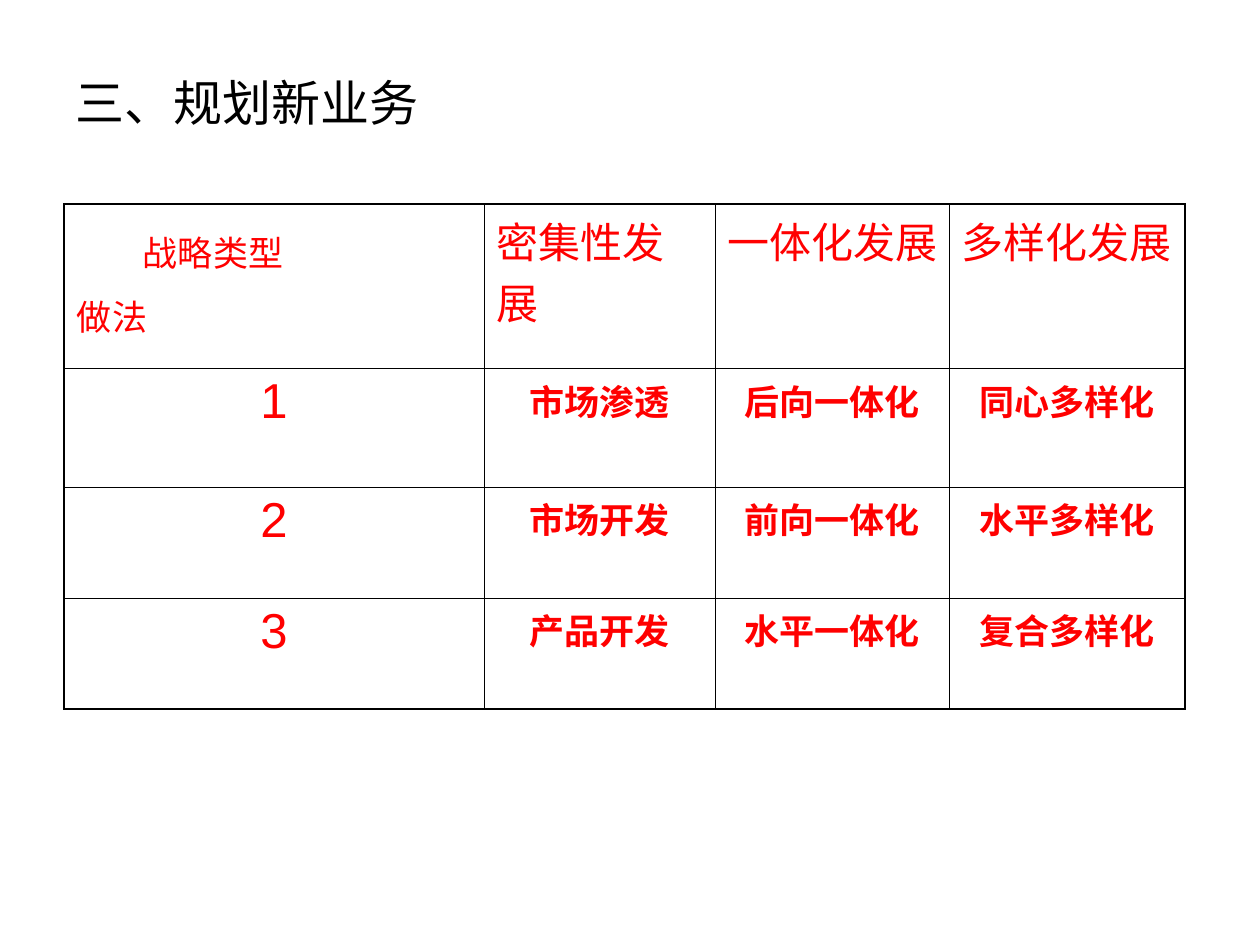
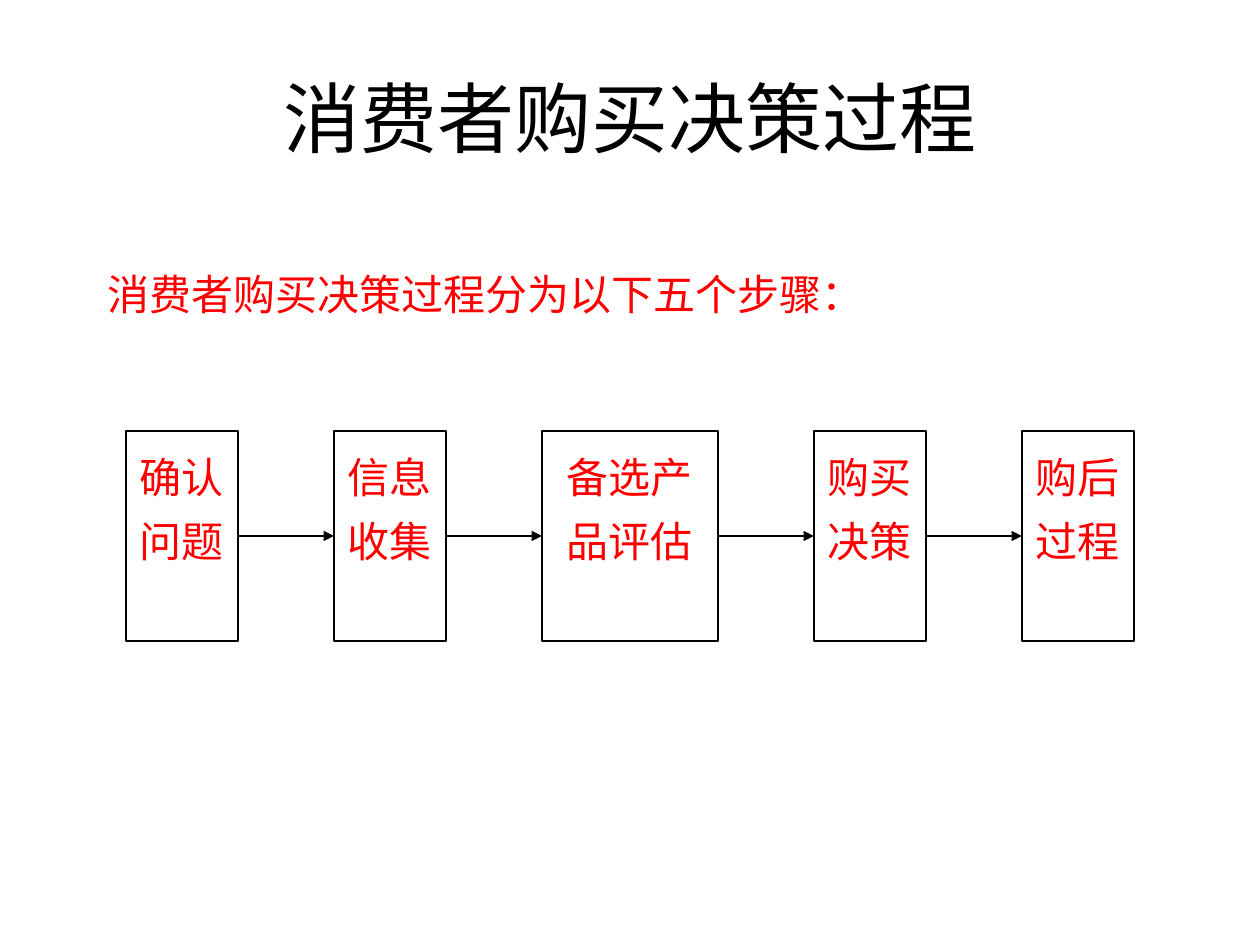
from dataclasses import dataclass

from lxml.etree import SubElement
from pptx import Presentation
from pptx.dml.color import RGBColor
from pptx.enum.shapes import MSO_CONNECTOR, MSO_SHAPE
from pptx.enum.text import MSO_ANCHOR, MSO_AUTO_SIZE, PP_ALIGN
from pptx.oxml.ns import qn
from pptx.util import Emu, Pt

PX_PER_INCH = 126


def px(length: int) -> Emu:
    return Emu(round(length * 914400 / PX_PER_INCH))


@dataclass(frozen=True)
class Theme:
    black: RGBColor = RGBColor(0, 0, 0)
    red: RGBColor = RGBColor(255, 0, 0)
    white: RGBColor = RGBColor(255, 255, 255)
    sans: str = "Arial"
    serif: str = "Times New Roman"
    east_asian: str = "Noto Sans CJK SC"
    title_size: int = 44
    heading_size: int = 28
    text_size: int = 24
    small_size: int = 20
    line: float = 0.75
    inner_border: float = 0.45
    outer_border: float = 1.08


THEME = Theme()


@dataclass(frozen=True)
class Box:
    left: int
    top: int
    width: int
    height: int

    def emu(self) -> tuple:
        return px(self.left), px(self.top), px(self.width), px(self.height)


@dataclass(frozen=True)
class TextStyle:
    size: int
    font: str
    color: RGBColor = THEME.red
    bold: bool = False
    align: PP_ALIGN = PP_ALIGN.LEFT
    line_spacing: float = 1.0


@dataclass(frozen=True)
class Step:
    lines: tuple
    width: int = 112


HEADING = TextStyle(THEME.heading_size, THEME.sans, THEME.black)
TITLE = TextStyle(THEME.title_size, THEME.east_asian, THEME.black, align=PP_ALIGN.CENTER)
CORNER = TextStyle(THEME.small_size, THEME.sans)
COLUMN_HEAD = TextStyle(THEME.text_size, THEME.sans)
ROW_NUMBER = TextStyle(THEME.heading_size, THEME.sans, align=PP_ALIGN.CENTER)
STRATEGY = TextStyle(THEME.small_size, THEME.sans, bold=True, align=PP_ALIGN.CENTER)
CAPTION = TextStyle(THEME.text_size, THEME.serif)
STEP = TextStyle(THEME.text_size, THEME.serif, align=PP_ALIGN.CENTER, line_spacing=1.28)

# Strategy table
TABLE_BOX = Box(64, 204, 1121, 505)
COLUMN_WIDTHS = (420, 231, 234, 236)
ROW_HEIGHTS = (164, 119, 111, 111)
STRATEGY_ROWS = (
    ("战略类型\n做法", "密集性发展", "一体化发展", "多样化发展"),
    ("1", "市场渗透", "后向一体化", "同心多样化"),
    ("2", "市场开发", "前向一体化", "水平多样化"),
    ("3", "产品开发", "水平一体化", "复合多样化"),
)

# Purchase steps
STEPS = (
    Step(("确认", "问题")),
    Step(("信息收集",)),
    Step(("备选产品评估",), 176),
    Step(("购买决策",)),
    Step(("购后过程",)),
)
STEP_LEFT, STEP_TOP, STEP_HEIGHT, STEP_GAP = 126, 431, 210, 96


def write(text_frame, lines: tuple, style: TextStyle) -> None:
    text_frame.text = "\n".join(lines)
    for paragraph in text_frame.paragraphs:
        paragraph.alignment = style.align
        paragraph.line_spacing = style.line_spacing
        font = paragraph.font
        font.size = Pt(style.size)
        font.bold = style.bold
        font.color.rgb = style.color
        font.name = style.font
        # East Asian face follows the Latin one
        properties = paragraph._p.pPr.find(qn("a:defRPr"))
        SubElement(properties, qn("a:ea"), typeface=THEME.east_asian)


def add_titled_slide(presentation, title: str, box: Box, style: TextStyle, anchor: MSO_ANCHOR):
    slide = presentation.slides.add_slide(presentation.slide_layouts[5])
    shape = slide.shapes.title
    shape.left, shape.top, shape.width, shape.height = box.emu()
    write(shape.text_frame, (title,), style)
    shape.text_frame.auto_size = MSO_AUTO_SIZE.NONE
    shape.text_frame.vertical_anchor = anchor
    return slide


def set_borders(cell, row: int, column: int) -> None:
    outer_edges = {
        "a:lnL": column == 0,
        "a:lnR": column == len(COLUMN_WIDTHS) - 1,
        "a:lnT": row == 0,
        "a:lnB": row == len(ROW_HEIGHTS) - 1,
    }
    properties = cell._tc.get_or_add_tcPr()
    for index, (tag, is_outer) in enumerate(outer_edges.items()):
        width = THEME.outer_border if is_outer else THEME.inner_border
        line = SubElement(properties, qn(tag), w=str(Pt(width)))
        fill = SubElement(line, qn("a:solidFill"))
        SubElement(fill, qn("a:srgbClr"), val=str(THEME.black))
        properties.insert(index, line)


def cell_style(row: int, column: int) -> TextStyle:
    if row == 0:
        return COLUMN_HEAD if column else CORNER
    return STRATEGY if column else ROW_NUMBER


def add_strategy_table(slide) -> None:
    table = slide.shapes.add_table(
        len(ROW_HEIGHTS), len(COLUMN_WIDTHS), *TABLE_BOX.emu()
    ).table
    table.first_row = table.horz_banding = False
    for column, width in zip(table.columns, COLUMN_WIDTHS):
        column.width = px(width)
    for row, height in zip(table.rows, ROW_HEIGHTS):
        row.height = px(height)
    for row, texts in enumerate(STRATEGY_ROWS):
        for column, text in enumerate(texts):
            cell = table.cell(row, column)
            cell.fill.solid()
            cell.fill.fore_color.rgb = THEME.white
            cell.margin_left = px(13)
            cell.margin_right = px(13 if row else 10)
            write(cell.text_frame, text.split("\n"), cell_style(row, column))
            set_borders(cell, row, column)

    # Corner cell: column label set in, row label below
    corner = table.cell(0, 0)
    corner.margin_top = px(22)
    column_label, row_label = corner.text_frame.paragraphs
    column_label._p.pPr.set("marL", str(px(66)))
    row_label.space_before = Pt(7.5)


def add_step(slide, step: Step, left: int):
    box = Box(left, STEP_TOP, step.width, STEP_HEIGHT)
    shape = slide.shapes.add_shape(MSO_SHAPE.RECTANGLE, *box.emu())
    shape.shadow.inherit = False
    shape.fill.solid()
    shape.fill.fore_color.rgb = THEME.white
    shape.line.color.rgb = THEME.black
    shape.line.width = Pt(THEME.line)
    shape.text_frame.word_wrap = True
    shape.text_frame.vertical_anchor = MSO_ANCHOR.TOP
    write(shape.text_frame, step.lines, STEP)
    return shape


def add_arrow(slide, start, end) -> None:
    connector = slide.shapes.add_connector(MSO_CONNECTOR.STRAIGHT, 0, 0, 0, 0)
    connector.begin_connect(start, 3)
    connector.end_connect(end, 1)
    connector.line.color.rgb = THEME.black
    connector.line.width = Pt(THEME.line)
    properties = connector._element.spPr
    SubElement(properties.find(qn("a:ln")), qn("a:tailEnd"), type="triangle")
    SubElement(properties, qn("a:effectLst"))


def add_purchase_steps(slide) -> None:
    shapes = []
    left = STEP_LEFT
    for step in STEPS:
        shapes.append(add_step(slide, step, left))
        left += step.width + STEP_GAP
    for start, end in zip(shapes, shapes[1:]):
        add_arrow(slide, start, end)


def add_caption(slide, text: str, box: Box) -> None:
    text_frame = slide.shapes.add_textbox(*box.emu()).text_frame
    text_frame.word_wrap = True
    text_frame.auto_size = MSO_AUTO_SIZE.SHAPE_TO_FIT_TEXT
    write(text_frame, (text,), CAPTION)


def main() -> None:
    presentation = Presentation()
    presentation.slide_width, presentation.slide_height = px(1260), px(945)

    # Slide 1: planning new business
    slide = add_titled_slide(
        presentation, "三、规划新业务", Box(63, 66, 557, 83), HEADING, MSO_ANCHOR.TOP
    )
    # Hanging first line of the heading
    slide.shapes.title.text_frame.margin_left = px(13)
    add_strategy_table(slide)

    # Slide 2: purchase decision process
    slide = add_titled_slide(
        presentation, "消费者购买决策过程", Box(63, 38, 1134, 158), TITLE, MSO_ANCHOR.MIDDLE
    )
    add_purchase_steps(slide)
    add_caption(slide, "消费者购买决策过程分为以下五个步骤：", Box(95, 262, 977, 63))

    presentation.save("out.pptx")


if __name__ == "__main__":
    main()
